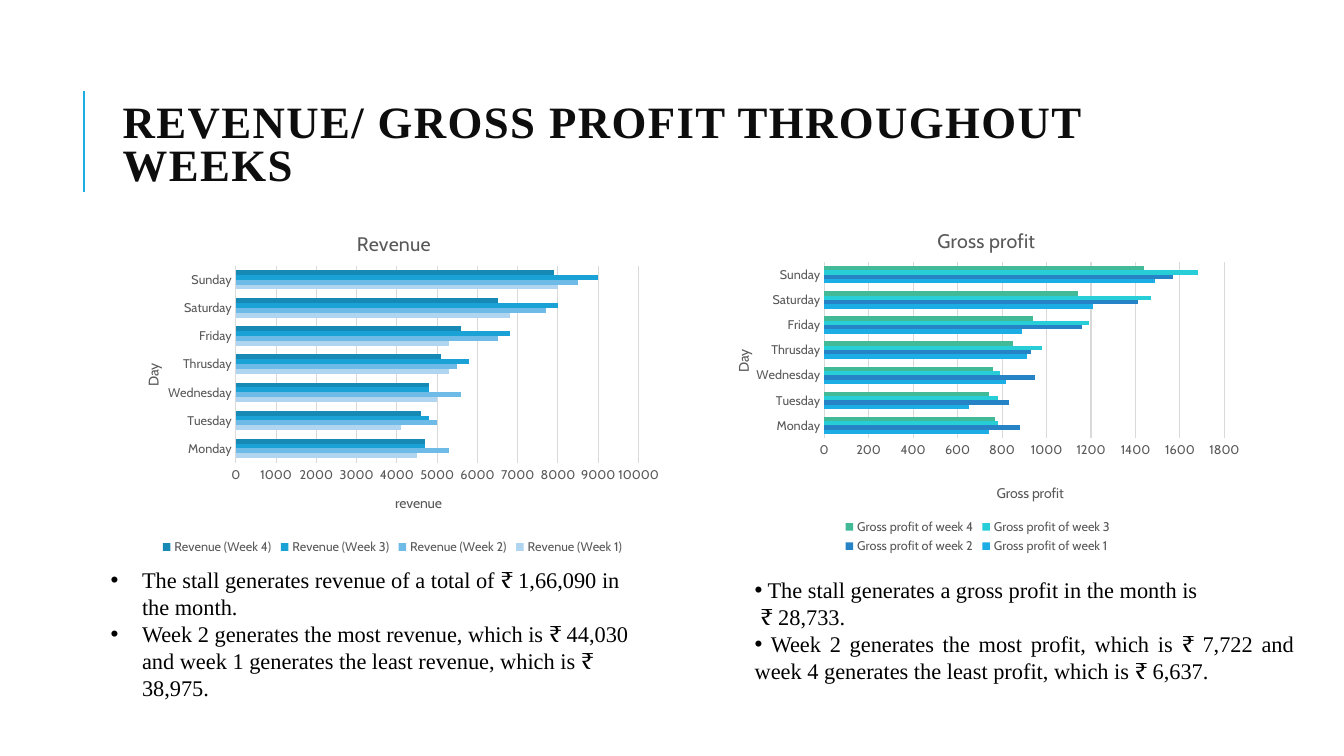
"""Build the slide on weekly revenue and gross profit."""
from dataclasses import dataclass

from lxml import etree
from pptx import Presentation
from pptx.chart.data import CategoryChartData
from pptx.dml.color import RGBColor
from pptx.enum.chart import XL_CHART_TYPE, XL_LEGEND_POSITION, XL_TICK_MARK
from pptx.enum.shapes import MSO_CONNECTOR
from pptx.enum.text import MSO_ANCHOR, PP_ALIGN
from pptx.oxml.ns import qn
from pptx.util import Cm, Pt

BARS = XL_CHART_TYPE.BAR_CLUSTERED
BOTTOM = XL_LEGEND_POSITION.BOTTOM
NO_TICK = XL_TICK_MARK.NONE
STRAIGHT = MSO_CONNECTOR.STRAIGHT
MIDDLE = MSO_ANCHOR.MIDDLE
LEFT, JUSTIFY = PP_ALIGN.LEFT, PP_ALIGN.JUSTIFY

SERIF, SANS = "Times New Roman", "Cabin"
GREY, PALE, BLACK = "595959", "D9D9D9", "000000"
DAYS = ["Monday", "Tuesday", "Wednesday", "Thrusday", "Friday", "Saturday", "Sunday"]


@dataclass
class Series:
    name: str
    color: str
    values: list[int]


@dataclass
class BarPanel:
    left: float
    width: float
    title: str
    value_title: str
    maximum: int
    step: int
    title_at: tuple
    day_at: tuple
    value_at: tuple
    plot_at: tuple
    legend_at: tuple
    series: list[Series]


@dataclass
class Point:
    text: str
    align: PP_ALIGN


@dataclass
class Notes:
    left: float
    top: float
    height: float
    indent: float
    points: list[Point]


PANELS = [
    BarPanel(2.84, 14.1, "Revenue", "revenue", 10000, 1000,
             (0.43, 0.05), (0.05, 0.43), (0.5, 0.8),
             (0.22, 0.16, 0.72, 0.56), (0.08, 0.93, 0.84, 0.06), [
                 Series("Revenue (Week 1)", "B0D5F0", [4500, 4100, 5000, 5300, 5300, 6800, 8000]),
                 Series("Revenue (Week 2)", "6EBBE8", [5300, 5000, 5600, 5500, 6500, 7700, 8500]),
                 Series("Revenue (Week 3)", "1AA2D6", [4700, 4800, 4800, 5800, 6800, 8000, 9000]),
                 Series("Revenue (Week 4)", "1689B4", [4700, 4600, 4800, 5100, 5600, 6500, 7900])]),
    BarPanel(17.73, 13.82, "Gross profit", "Gross profit", 1800, 200,
             (0.42, 0.04), (0.05, 0.39), (0.53, 0.77),
             (0.22, 0.15, 0.73, 0.5), (0.25, 0.87, 0.5, 0.12), [
                 Series("Gross profit of week 1", "1CADE4", [740, 650, 820, 910, 890, 1210, 1490]),
                 Series("Gross profit of week 2", "2683C6", [880, 830, 950, 930, 1160, 1410, 1570]),
                 Series("Gross profit of week 3", "27CED7", [780, 780, 790, 980, 1190, 1470, 1680]),
                 Series("Gross profit of week 4", "42BA97", [770, 740, 760, 850, 940, 1140, 1440])]),
]

NOTES = [
    Notes(2.54, 14.15, 4.37, 0.79, [
        Point("The stall generates revenue of a total of ₹ 1,66,090 in the month.", LEFT),
        Point("Week 2 generates the most revenue, which is ₹ 44,030 and week 1 "
              "generates the least revenue, which is ₹ 38,975.", LEFT)]),
    Notes(18.77, 14.4, 3, 0, [
        Point(" The stall generates a gross profit in the month is\v ₹ 28,733.", LEFT),
        Point(" Week 2 generates the most profit, which is ₹ 7,722 and week 4 "
              "generates the least profit, which is ₹ 6,637.", JUSTIFY)]),
]


def rgb(color: str) -> RGBColor:
    return RGBColor.from_string(color)


def style(font, size: float, name: str, color: str, bold: bool = False) -> None:
    font.size, font.name, font.bold = Pt(size), name, bold
    font.color.rgb = rgb(color)


def place(element, index: int, fractions: tuple, inner: bool = False) -> None:
    for old in element.findall(qn("c:layout")):
        element.remove(old)
    layout = etree.Element(qn("c:layout"))
    manual = etree.SubElement(layout, qn("c:manualLayout"))
    settings = [("layoutTarget", "inner")] if inner else []
    settings += [("xMode", "edge"), ("yMode", "edge")]
    settings += list(zip("xywh", fractions))
    for tag, value in settings:
        etree.SubElement(manual, qn(f"c:{tag}")).set("val", str(value))
    element.insert(index, layout)


def write_title(title, text: str, size: float, position: tuple):
    title.text_frame.text = text
    style(title.text_frame.paragraphs[0].font, size, SANS, GREY)
    place(title._element, 1, position)
    return title.text_frame


def style_axis(axis) -> None:
    axis.major_tick_mark = axis.minor_tick_mark = NO_TICK
    style(axis.tick_labels.font, 9, SANS, GREY)


def add_bar_panel(page, panel: BarPanel) -> None:
    data = CategoryChartData()
    data.categories = DAYS
    for series in panel.series:
        data.add_series(series.name, series.values)
    chart = page.shapes.add_chart(BARS, Cm(panel.left), Cm(5.28), Cm(panel.width),
                                  Cm(8.86), data).chart
    style(chart.font, 10, SANS, BLACK)
    chart.has_title = True
    write_title(chart.chart_title, panel.title, 14, panel.title_at)

    plot = chart.plots[0]
    plot.gap_width, plot.overlap, plot.vary_by_categories = 182, 0, False
    for bars, series in zip(plot.series, panel.series):
        bars.format.fill.solid()
        bars.format.fill.fore_color.rgb = rgb(series.color)

    days, amounts = chart.category_axis, chart.value_axis
    style_axis(days)
    style_axis(amounts)
    days.format.line.color.rgb = rgb(PALE)
    days.format.line.width = Pt(0.75)
    day_frame = write_title(days.axis_title, "Day", 10, panel.day_at)
    day_frame._txBody.bodyPr.set("rot", "-5400000")
    day_frame._txBody.bodyPr.set("vert", "horz")
    write_title(amounts.axis_title, panel.value_title, 10, panel.value_at)
    amounts.minimum_scale, amounts.maximum_scale = 0, panel.maximum
    amounts.major_unit = panel.step
    amounts.format.line.fill.background()
    amounts.has_major_gridlines = True
    amounts.major_gridlines.format.line.color.rgb = rgb(PALE)
    amounts.major_gridlines.format.line.width = Pt(0.75)

    chart.has_legend = True
    chart.legend.position = BOTTOM
    chart.legend.include_in_layout = False
    style(chart.legend.font, 9, SANS, GREY)
    place(chart.legend._element, 1, panel.legend_at)
    place(chart._chartSpace.chart.plotArea, 0, panel.plot_at, inner=True)


def add_notes(page, notes: Notes) -> None:
    box = page.shapes.add_textbox(Cm(notes.left), Cm(notes.top), Cm(14.1), Cm(notes.height))
    frame = box.text_frame
    frame.word_wrap = True
    for number, point in enumerate(notes.points):
        para = frame.add_paragraph() if number else frame.paragraphs[0]
        para.text = point.text
        para.alignment = point.align
        properties = para._p.get_or_add_pPr()
        properties.set("marL", str(Cm(notes.indent)))
        properties.set("indent", str(-Cm(notes.indent)))
        etree.SubElement(properties, qn("a:buFont")).set("typeface", "Arial")
        etree.SubElement(properties, qn("a:buChar")).set("char", "•")
        style(para.font, 16, SERIF, BLACK)


def add_heading(page) -> None:
    rule = page.shapes.add_connector(STRAIGHT, Cm(2.11), Cm(4.83), Cm(2.11), Cm(2.29))
    rule.line.color.rgb = rgb("1CADE4")
    rule.line.width = Pt(1.5)
    etree.SubElement(rule._element.spPr, qn("a:effectLst"))
    box = page.shapes.add_textbox(Cm(2.84), Cm(1.63), Cm(27), Cm(4.17))
    box.text_frame.word_wrap = True
    box.text_frame.vertical_anchor = MIDDLE
    para = box.text_frame.paragraphs[0]
    para.line_spacing = 0.8
    span = para.add_run()
    span.text = "REVENUE/ GROSS PROFIT THROUGHOUT WEEKS"
    style(para.font, 32, SERIF, "0D0D0D", bold=True)
    span._r.get_or_add_rPr().set("spc", "100")


def main() -> None:
    deck = Presentation()
    deck.slide_width, deck.slide_height = Cm(33.87), Cm(19.05)
    page = deck.slides.add_slide(deck.slide_layouts[6])
    add_heading(page)
    for panel in PANELS:
        add_bar_panel(page, panel)
    for notes in NOTES:
        add_notes(page, notes)
    deck.save("out.pptx")


if __name__ == "__main__":
    main()
